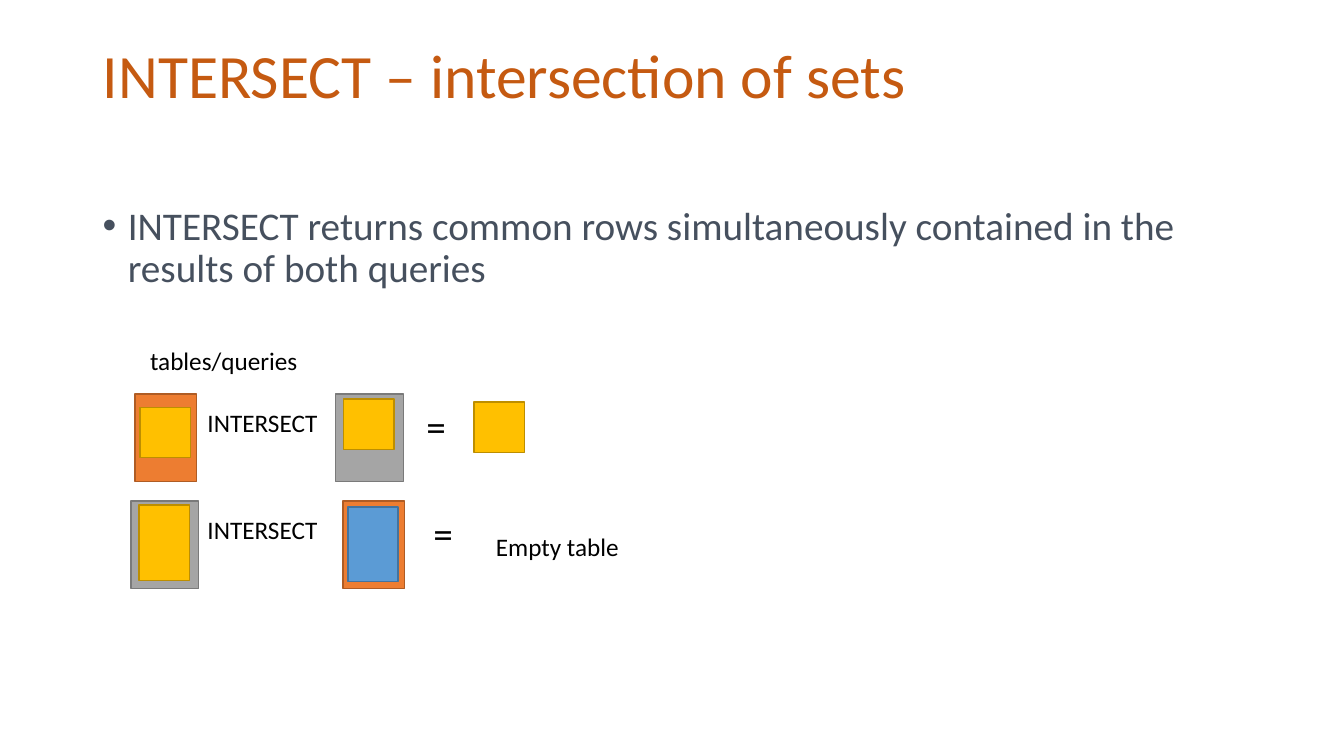
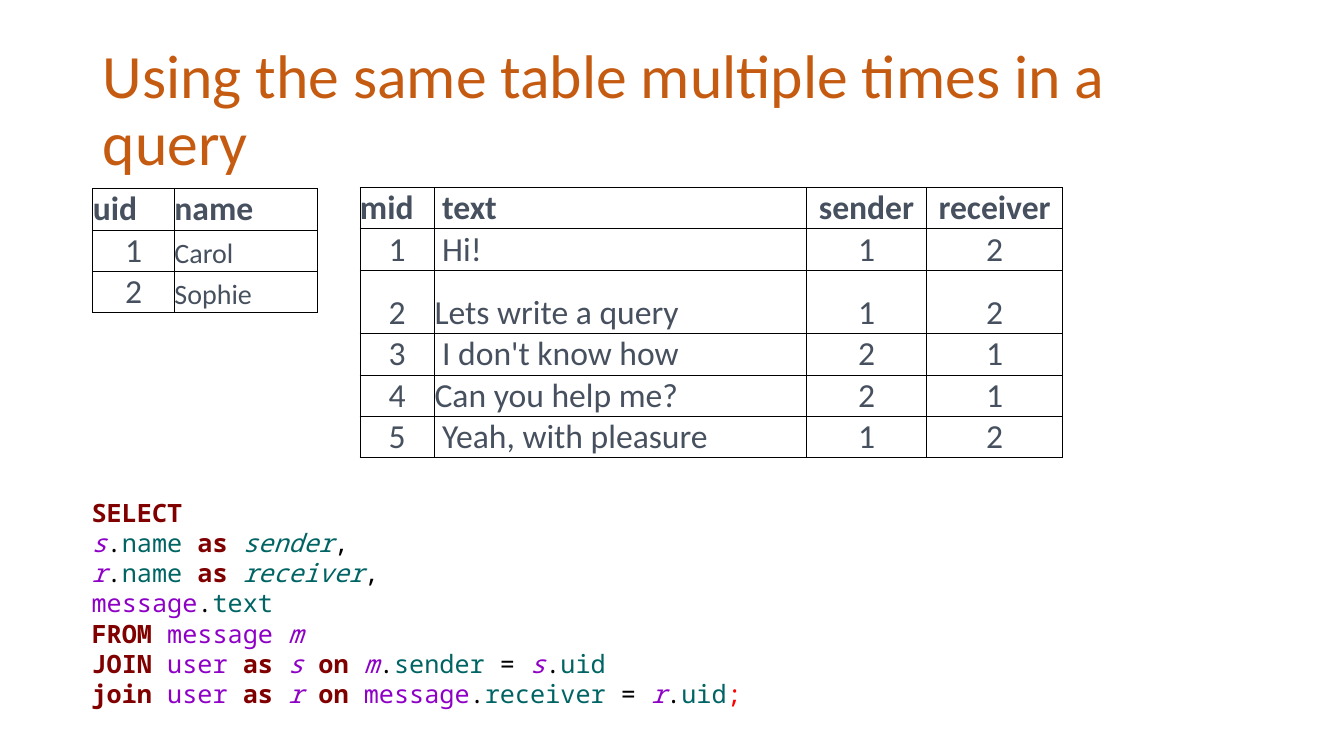
from pptx import Presentation
from pptx.dml.color import RGBColor
from pptx.enum.shapes import MSO_SHAPE
from pptx.enum.text import MSO_ANCHOR, MSO_AUTO_SIZE, PP_ALIGN
from pptx.oxml.ns import qn
from pptx.util import Inches, Pt
from lxml import etree

RECTANGLE = MSO_SHAPE.RECTANGLE
TOP, BOTTOM = MSO_ANCHOR.TOP, MSO_ANCHOR.BOTTOM
LEFT, CENTER = PP_ALIGN.LEFT, PP_ALIGN.CENTER
NO_FIT = MSO_AUTO_SIZE.NONE

TITLE_ONLY = 5
SANS, MONO = "Calibri", "Noto Sans Mono"
RUST, SLATE, BLACK = "C55A11", "46505E", "000000"
ORANGE = ("ED7D31", "AF5C24")
GRAY = ("A5A5A5", "7A7A7A")
GOLD = ("FFC000", "BD8E00")
BLUE = ("5B9BD5", "43739E")

SQL_STYLES = {
    "keyword": {"color": "800000", "bold": True},
    "table": {"color": "8E00C6"},
    "alias": {"color": "8E00C6", "italic": True},
    "column": {"color": "006464"},
    "label": {"color": "006464", "italic": True},
    "symbol": {"color": BLACK},
    "end": {"color": "FF0000"},
}

QUERY = [
    [("keyword", "SELECT")],
    [("alias", "s"), ("symbol", "."), ("column", "name "), ("keyword", "as "),
     ("label", "sender"), ("symbol", ",")],
    [("alias", "r"), ("symbol", "."), ("column", "name "), ("keyword", "as "),
     ("label", "receiver"), ("symbol", ",")],
    [("table", "message"), ("symbol", "."), ("column", "text")],
    [("keyword", "FROM "), ("table", "message "), ("alias", "m")],
    [("keyword", "JOIN "), ("table", "user "), ("keyword", "as "),
     ("alias", "s "), ("keyword", "on "), ("alias", "m"), ("symbol", "."),
     ("column", "sender"), ("symbol", " = "), ("alias", "s"),
     ("symbol", "."), ("column", "uid")],
    [("keyword", "join "), ("table", "user "), ("keyword", "as "),
     ("alias", "r "), ("keyword", "on "), ("table", "message"),
     ("symbol", "."), ("column", "receiver"), ("symbol", " = "),
     ("alias", "r"), ("symbol", "."), ("column", "uid"), ("end", ";")],
]

ID_COLUMN = {"head": LEFT, "body": CENTER, "size": 24}
TEXT_COLUMN = {"head": LEFT, "body": LEFT, "size": 24}
NAME_COLUMN = {"head": LEFT, "body": LEFT, "size": 20}
USER_COLUMN = {"head": CENTER, "body": CENTER, "size": 24}

USERS = [("uid", "name"), ("1", "Carol"), ("2", "Sophie")]
MESSAGES = [
    ("mid", " text", "sender", "receiver"),
    ("1", " Hi!", "1", "2"),
    ("2", "Lets write a query", "1", "2"),
    ("3", " I don't know how", "2", "1"),
    ("4", "Can you help me?", "2", "1"),
    ("5", " Yeah, with pleasure", "1", "2"),
]


def rgb(color):
    return RGBColor.from_string(color)


def apply(target, values):
    for name, value in values.items():
        setattr(target, name, value)


def add_span(para, text, size, color, name=SANS, bold=False, italic=False):
    span = para.add_run()
    span.text = text
    apply(span.font, {"size": Pt(size), "name": name, "bold": bold,
                      "italic": italic})
    span.font.color.rgb = rgb(color)


def add_titled_slide(deck, text):
    page = deck.slides.add_slide(deck.slide_layouts[TITLE_ONLY])
    title = page.shapes.title
    apply(title, {"left": Inches(0.92), "top": Inches(0.4),
                  "width": Inches(11.5), "height": Inches(1.45)})
    apply(title.text_frame, {"vertical_anchor": TOP, "word_wrap": True,
                             "auto_size": NO_FIT})
    para = title.text_frame.paragraphs[0]
    apply(para, {"alignment": LEFT, "line_spacing": 0.9})
    add_span(para, text, 44, RUST)
    return page


def add_text_box(page, at, wrap=True):
    box = page.shapes.add_textbox(*map(Inches, at))
    box.text_frame.word_wrap = wrap
    return box.text_frame


def add_label(page, at, text, size=18):
    frame = add_text_box(page, at, wrap=False)
    add_span(frame.paragraphs[0], text, size, BLACK)


def add_bullet(page, at, text):
    para = add_text_box(page, at).paragraphs[0]
    apply(para, {"line_spacing": 0.9, "space_before": Pt(10)})
    add_span(para, text, 28, SLATE)
    properties = para._p.get_or_add_pPr()
    properties.set("marL", str(Inches(0.25)))
    properties.set("indent", str(Inches(-0.25)))
    etree.SubElement(properties, qn("a:buFont"), typeface="Arial")
    etree.SubElement(properties, qn("a:buChar"), char="•")


def add_block(page, at, colors):
    fill, outline = colors
    block = page.shapes.add_shape(RECTANGLE, *map(Inches, at))
    block.shadow.inherit = False
    block.fill.solid()
    block.fill.fore_color.rgb = rgb(fill)
    block.line.color.rgb = rgb(outline)
    block.line.width = Pt(1)


def set_borders(cell):
    properties = cell._tc.get_or_add_tcPr()
    for position, side in enumerate(("a:lnL", "a:lnR", "a:lnT", "a:lnB")):
        line = etree.Element(qn(side), w=str(Pt(0.5)))
        fill = etree.SubElement(line, qn("a:solidFill"))
        etree.SubElement(fill, qn("a:srgbClr"), val=BLACK)
        properties.insert(position, line)


def add_grid(page, left, top, columns, heights, rows):
    widths = [width for width, _ in columns]
    size = (left, top, sum(widths), sum(heights))
    grid = page.shapes.add_table(len(rows), len(columns),
                                 *map(Inches, size)).table
    apply(grid, {"first_row": False, "horz_banding": False})
    for column, width in zip(grid.columns, widths):
        column.width = Inches(width)
    for row, height in zip(grid.rows, heights):
        row.height = Inches(height)
    for i, texts in enumerate(rows):
        for j, text in enumerate(texts):
            style = columns[j][1]
            is_head = i == 0
            cell = grid.cell(i, j)
            apply(cell, {"vertical_anchor": BOTTOM, "margin_left": 0,
                         "margin_right": 0, "margin_top": 0,
                         "margin_bottom": 0})
            cell.fill.background()
            set_borders(cell)
            para = cell.text_frame.paragraphs[0]
            para.alignment = style["head" if is_head else "body"]
            add_span(para, text, 24 if is_head else style["size"], SLATE,
                     bold=is_head)


def add_query(page, at, lines):
    frame = add_text_box(page, at)
    for i, line in enumerate(lines):
        para = frame.add_paragraph() if i else frame.paragraphs[0]
        for style, text in line:
            add_span(para, text, 18, name=MONO, **SQL_STYLES[style])


def build_intersect_slide(deck):
    page = add_titled_slide(deck, "INTERSECT – intersection of sets")
    add_bullet(page, (0.92, 2, 11.5, 1.24),
               "INTERSECT returns common rows simultaneously contained in "
               "the results of both queries")
    add_label(page, (1.39, 3.38, 1.68, 0.4), "tables/queries")
    blocks = [
        ((1.34, 3.91, 0.61, 0.87), ORANGE),
        ((1.39, 4.04, 0.5, 0.5), GOLD),
        ((3.33, 3.91, 0.67, 0.87), GRAY),
        ((3.41, 3.96, 0.5, 0.5), GOLD),
        ((4.7, 3.99, 0.5, 0.5), GOLD),
        ((1.3, 4.97, 0.67, 0.87), GRAY),
        ((1.38, 5.01, 0.5, 0.75), GOLD),
        ((3.4, 4.97, 0.61, 0.87), ORANGE),
        ((3.45, 5.03, 0.5, 0.74), BLUE),
    ]
    for at, colors in blocks:
        add_block(page, at, colors)
    for top, equals_left in ((3.91, 4.13), (4.97, 4.2)):
        add_label(page, (1.96, top + 0.08, 1.3, 0.4), "INTERSECT")
        add_label(page, (equals_left, top + 0.03, 0.34, 0.57), "=", 28)
    add_label(page, (4.82, 5.22, 1.43, 0.4), "Empty table")


def build_same_table_slide(deck):
    page = add_titled_slide(
        deck, "Using the same table multiple times in a query")
    add_grid(page, 3.57, 1.86,
             [(0.74, ID_COLUMN), (3.69, TEXT_COLUMN),
              (1.19, USER_COLUMN), (1.35, USER_COLUMN)],
             [0.41, 0.41, 0.63, 0.41, 0.41, 0.41], MESSAGES)
    add_grid(page, 0.92, 1.87, [(0.81, ID_COLUMN), (1.42, NAME_COLUMN)],
             [0.41] * len(USERS), USERS)
    add_query(page, (0.81, 4.88, 6.67, 2.22), QUERY)


def main():
    deck = Presentation()
    apply(deck, {"slide_width": Inches(13.33), "slide_height": Inches(7.5)})
    build_intersect_slide(deck)
    build_same_table_slide(deck)
    deck.save("out.pptx")


if __name__ == "__main__":
    main()
